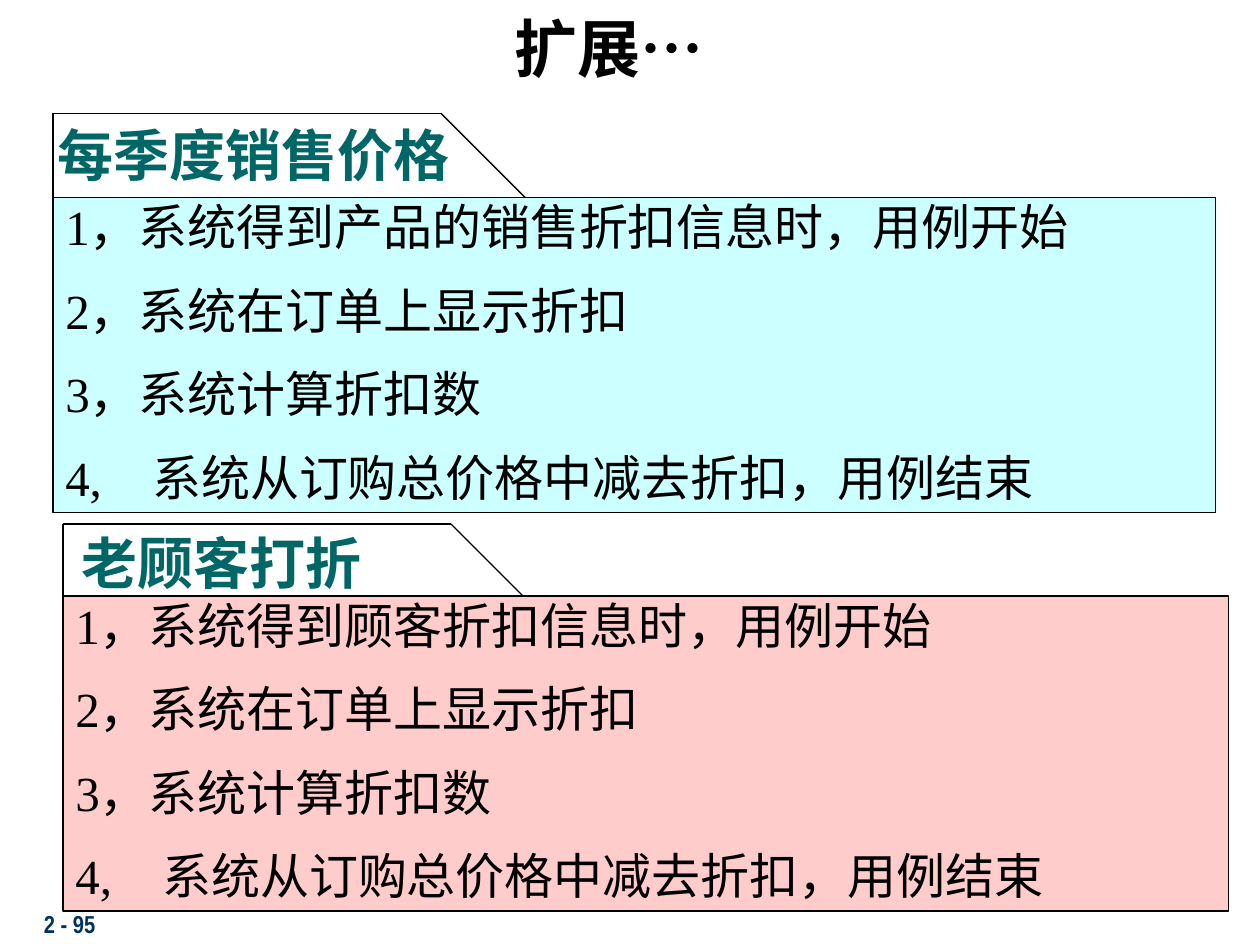
from pptx import Presentation
from pptx.dml.color import RGBColor
from pptx.enum.shapes import MSO_CONNECTOR as Conn, MSO_SHAPE as Shape
from pptx.enum.text import MSO_ANCHOR as Anchor, PP_ALIGN as Align
from pptx.oxml import parse_xml
from pptx.oxml.ns import nsdecls, qn
from pptx.util import Inches, Pt

BLACK = RGBColor(0, 0, 0)
TEAL = RGBColor(0, 0x66, 0x66)
NAVY = RGBColor(0, 0x31, 0x62)
CYAN = RGBColor(0xCC, 0xFF, 0xFF)
PINK = RGBColor(0xFF, 0xCC, 0xCC)
SERIF = "Times New Roman"
HAN = "Noto Sans CJK SC"

SHARED = ["2，系统在订单上显示折扣", "3，系统计算折扣数",
          "4,\t系统从订购总价格中减去折扣，用例结束"]


def add_run(para, text, size, color, bold=False, face=SERIF):
    run = para.add_run()
    run.text = text
    font = run.font
    font.name, font.size, font.bold = face, Pt(size), bold
    font.color.rgb = color
    # East Asian typeface follows the Latin one
    latin = run._r.rPr.find(qn("a:latin"))
    latin.addnext(parse_xml(f'<a:ea {nsdecls("a")} typeface="{HAN}"/>'))


def add_label(slide, left, top, width, height, inset=0.1):
    box = slide.shapes.add_textbox(
        Inches(left), Inches(top), Inches(width), Inches(height))
    frame = box.text_frame
    frame.word_wrap = True
    frame.vertical_anchor = Anchor.MIDDLE
    frame.margin_left = Inches(inset)
    return frame.paragraphs[0]


def add_line(slide, start, end):
    line = slide.shapes.add_connector(
        Conn.STRAIGHT, *[Inches(v) for v in (*start, *end)])
    line.line.color.rgb = BLACK
    line.line.width = Pt(0.75)
    line._element.spPr.append(parse_xml(f'<a:effectLst {nsdecls("a")}/>'))


def add_flap(slide, left, top):
    # Folder tab: up, across, then down the slope
    low = top + 0.67
    dots = [(left, low), (left, top), (left + 3.08, top), (left + 3.75, low)]
    for start, end in zip(dots, dots[1:]):
        add_line(slide, start, end)


def add_steps(slide, left, top, width, fill, steps):
    box = slide.shapes.add_shape(
        Shape.RECTANGLE, Inches(left), Inches(top), Inches(width), Inches(2.5))
    box.shadow.inherit = False
    box.fill.solid()
    box.fill.fore_color.rgb = fill
    box.line.color.rgb = BLACK
    box.line.width = Pt(0.75)
    frame = box.text_frame
    frame.word_wrap = True
    frame.vertical_anchor = Anchor.MIDDLE
    for i, step in enumerate(steps):
        para = frame.add_paragraph() if i else frame.paragraphs[0]
        para.alignment = Align.LEFT
        para.line_spacing = 0.9
        para.space_before = Pt(17.5 if i else 0)
        if "\t" in step:
            para._p.get_or_add_pPr().append(parse_xml(
                f'<a:tabLst {nsdecls("a")}>'
                f'<a:tab pos="{Inches(0.69)}" algn="l"/></a:tabLst>'))
        add_run(para, step, 28, BLACK)


def add_title(slide):
    title = slide.shapes.title
    title.left, title.top = Inches(0), Inches(0)
    title.width, title.height = Inches(9.67), Inches(0.75)
    title.text_frame.vertical_anchor = Anchor.MIDDLE
    para = title.text_frame.paragraphs[0]
    para.alignment = Align.CENTER
    add_run(para, "扩展", 36, BLACK, True, HAN)
    add_run(para, "…", 36, BLACK, True)


def main():
    deck = Presentation()
    deck.slide_width, deck.slide_height = Inches(10), Inches(7.5)
    slide = deck.slides.add_slide(deck.slide_layouts[5])

    # Page number and title
    add_run(add_label(slide, 0.25, 7.17, 2.08, 0.33),
            "2 - 95", 14, NAVY, True, "Arial Narrow")
    add_title(slide)

    # Quarterly price folder
    add_flap(slide, 0.42, 0.9)
    add_run(add_label(slide, 0.25, 0.9, 4.83, 0.64, 0.21),
            "每季度销售价格", 32, TEAL, True)
    add_steps(slide, 0.42, 1.57, 9.23, CYAN,
              ["1，系统得到产品的销售折扣信息时，用例开始"] + SHARED)

    # Regular customer folder
    add_flap(slide, 0.5, 4.16)
    add_run(add_label(slide, 0.33, 4.14, 4.83, 0.64, 0.32),
            "老顾客打折", 32, TEAL, True)
    add_steps(slide, 0.5, 4.73, 9.25, PINK,
              ["1，系统得到顾客折扣信息时，用例开始"] + SHARED)

    deck.save("out.pptx")


if __name__ == "__main__":
    main()
